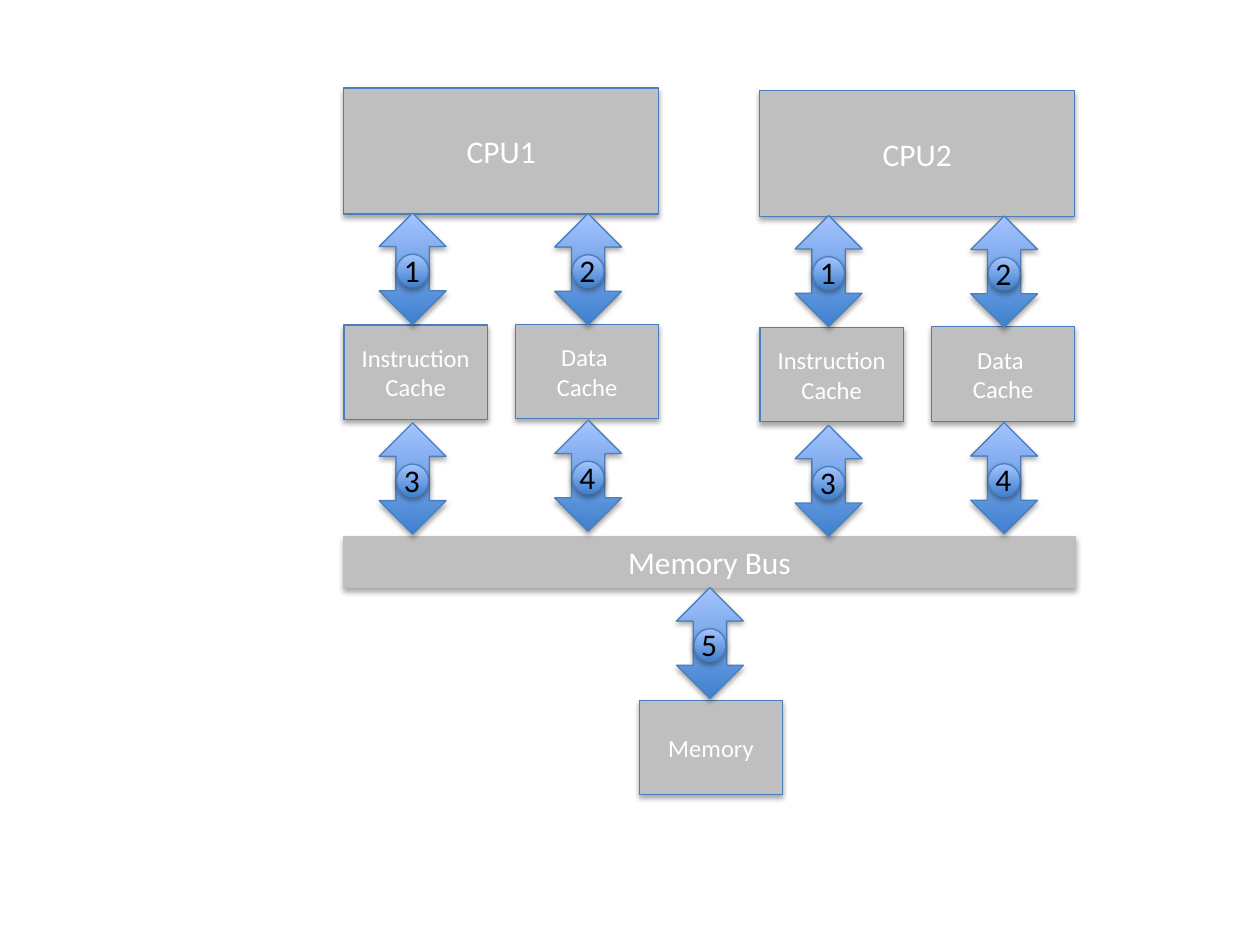
from lxml import etree
from pptx import Presentation
from pptx.dml.color import RGBColor
from pptx.enum.shapes import MSO_SHAPE
from pptx.enum.text import MSO_ANCHOR, MSO_AUTO_SIZE, PP_ALIGN
from pptx.oxml.ns import qn
from pptx.util import Pt

RECT, OVAL, ARROW = MSO_SHAPE.RECTANGLE, MSO_SHAPE.OVAL, MSO_SHAPE.UP_DOWN_ARROW
MIDDLE, TOP = MSO_ANCHOR.MIDDLE, MSO_ANCHOR.TOP
CENTER, LEFT = PP_ALIGN.CENTER, PP_ALIGN.LEFT
GROW = MSO_AUTO_SIZE.SHAPE_TO_FIT_TEXT
GRAY = RGBColor(0xBF, 0xBF, 0xBF)
WHITE = RGBColor(0xFF, 0xFF, 0xFF)
BLACK = RGBColor(0, 0, 0)
EDGE = RGBColor(0x4B, 0x7E, 0xBC)
DEEP = RGBColor(0x3F, 0x80, 0xCE)
PALE = RGBColor(0xA4, 0xC4, 0xFF)

SIDE = 196.5
SMALL = (82, 54)


class Board:
    """Draws boxes and numbered arrows on one slide in a shared style."""

    def __init__(self, slide):
        self.slide = slide

    def apply(self, item, **values):
        for name, value in values.items():
            setattr(item, name, value)

    def shade(self, shape):
        shape.shadow.inherit = False
        effect = shape._element.spPr.find(qn("a:effectLst"))
        outer = etree.SubElement(effect, qn("a:outerShdw"), blurRad=str(Pt(3.1)),
                                 dist=str(Pt(1.8)), dir="5400000", rotWithShape="0")
        color = etree.SubElement(outer, qn("a:srgbClr"), val=str(BLACK))
        etree.SubElement(color, qn("a:alpha"), val="35000")

    def shape(self, parent, kind, spot, size, edge=EDGE):
        shape = parent.shapes.add_shape(kind, *map(Pt, (*spot, *size)))
        shape.line.color.rgb = edge
        shape.line.width = Pt(0.75)
        self.shade(shape)
        return shape

    def label(self, shape, text, size, color, align, **frame):
        self.apply(shape.text_frame, text=text, **frame)
        for para in shape.text_frame.paragraphs:
            para.alignment = align
            for run in para.runs:
                self.apply(run.font, name="Calibri", size=Pt(size))
                run.font.color.rgb = color

    def box(self, text, spot, size, font=14, edge=EDGE):
        shape = self.shape(self.slide, RECT, spot, size, edge)
        shape.fill.solid()
        shape.fill.fore_color.rgb = GRAY
        self.label(shape, text, font, WHITE, CENTER,
                   word_wrap=True, vertical_anchor=MIDDLE)

    def arrow(self, digit, left, top):
        group = self.slide.shapes.add_group_shape()
        parts = ((ARROW, (left, top), (38.2, 63.5)),
                 (OVAL, (left + 10, top + 23.5), (18.2, 18.7)))
        for kind, spot, size in parts:
            fill = self.shape(group, kind, spot, size).fill
            fill.gradient()
            fill.gradient_angle = 90
            for stop, place, color in zip(fill.gradient_stops, (0, 1), (DEEP, PALE)):
                stop.position = place
                stop.color.rgb = color
        text = group.shapes.add_textbox(Pt(left + 7), Pt(top + 18), Pt(23.7), Pt(29))
        self.label(text, digit, 18, BLACK, LEFT,
                   word_wrap=False, auto_size=GROW, vertical_anchor=TOP)

    def core(self, name, left, top):
        self.box(name, (left, top), (180, 72), 18)
        self.box("Instruction Cache", (left, top + 135.4), SMALL)
        self.box("Data \nCache", (left + 98, top + 135), SMALL)
        spots = ((20.2, 71.5), (120.5, 71.8), (20.2, 191.4), (120.5, 189.8))
        for count, (across, down) in enumerate(spots, 1):
            self.arrow(str(count), left + across, top + down)


deck = Presentation()
deck.slide_width, deck.slide_height = Pt(720), Pt(540)
board = Board(deck.slides.add_slide(deck.slide_layouts[6]))
board.box("Memory Bus", (SIDE, 306.7), (417.8, 29), 18, GRAY)
board.box("Memory", (365.3, 400.2), SMALL)
board.core("CPU1", SIDE, 50.3)
board.arrow("5", 386.6, 335.8)
board.core("CPU2", SIDE + 237.7, 51.7)
deck.save("out.pptx")
